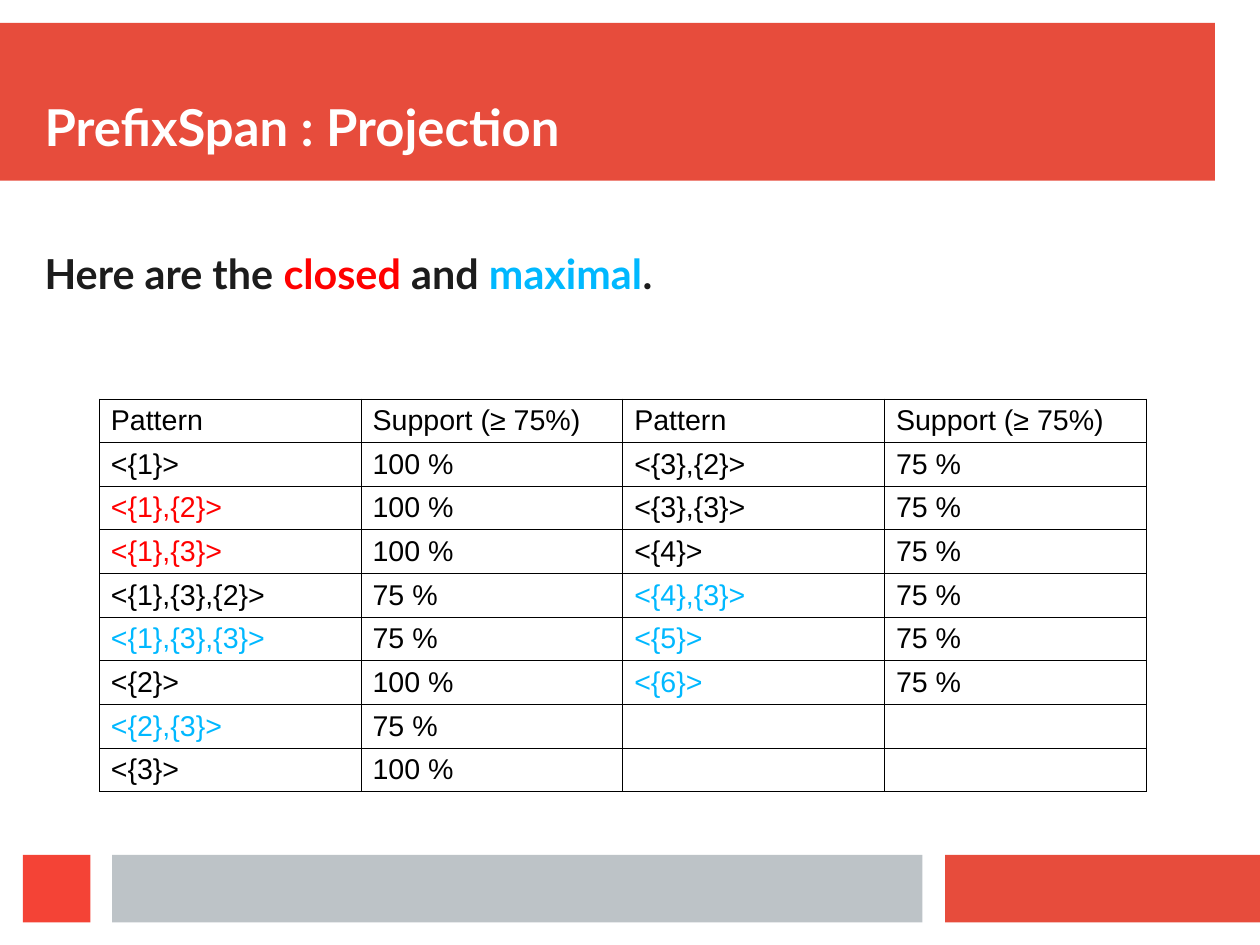
from dataclasses import dataclass

from lxml.etree import SubElement as Sub
from pptx import Presentation
from pptx.dml.color import RGBColor as RGB
from pptx.enum.shapes import MSO_SHAPE as Form
from pptx.enum.text import MSO_ANCHOR as Anchor
from pptx.oxml.ns import qn
from pptx.util import Inches, Pt


@dataclass(frozen=True)
class Theme:
    brand: str = "E74C3C"
    accent: str = "F44336"
    gray: str = "BDC3C7"
    white: str = "FFFFFF"
    ink: str = "1C1C1C"
    black: str = "000000"
    closed: str = "FF0000"
    maximal: str = "00B8FF"
    head: str = "Lato"
    body: str = "Arial"
    title: int = 32
    lead: int = 26
    cell: int = 18
    rule: float = 0.57


def write(para, text, font, size, color, bold=False):
    run = para.add_run()
    run.text = text
    run.font.name = font
    run.font.size = Pt(size)
    run.font.bold = bold
    run.font.color.rgb = RGB.from_string(color)


def border(cell, color, width):
    """Draw a thin line on all four sides of a table cell."""
    props = cell._tc.get_or_add_tcPr()
    for side in ("lnL", "lnR", "lnT", "lnB"):
        line = Sub(props, qn(f"a:{side}"), w=str(Pt(width)))
        fill = Sub(line, qn("a:solidFill"))
        Sub(fill, qn("a:srgbClr"), val=color)


class Page:
    def __init__(self, slide, theme):
        self.slide = slide
        self.theme = theme

    def bar(self, box, color):
        shape = self.slide.shapes.add_shape(Form.RECTANGLE, *map(Inches, box))
        shape.shadow.inherit = False
        shape.fill.solid()
        shape.fill.fore_color.rgb = RGB.from_string(color)
        shape.line.fill.background()

    def text(self, box, parts, size, anchor=Anchor.TOP):
        """Place one bold line made of (text, color) parts."""
        frame = self.slide.shapes.add_textbox(*map(Inches, box)).text_frame
        frame.word_wrap = True
        frame.vertical_anchor = anchor
        frame.margin_left = frame.margin_right = 0
        frame.margin_top = frame.margin_bottom = 0
        for text, color in parts:
            write(frame.paragraphs[0], text, font=self.theme.head,
                  size=size, color=color, bold=True)

    def table(self, box, rows, colors):
        """Fill a grid; colors maps a cell text to its own color."""
        theme = self.theme
        frame = self.slide.shapes.add_table(
            len(rows), len(rows[0]), *map(Inches, box))
        grid = frame.table
        grid.first_row = grid.horz_banding = False
        for row, texts in zip(grid.rows, rows):
            for cell, text in zip(row.cells, texts):
                cell.margin_bottom = Inches(0.03)
                border(cell, theme.black, theme.rule)
                cell.fill.background()
                if text:
                    write(cell.text_frame.paragraphs[0], text,
                          font=theme.body, size=theme.cell,
                          color=colors.get(text, theme.black))


LEFT = [("<{1}>", "100 %"), ("<{1},{2}>", "100 %"), ("<{1},{3}>", "100 %"),
        ("<{1},{3},{2}>", "75 %"), ("<{1},{3},{3}>", "75 %"),
        ("<{2}>", "100 %"), ("<{2},{3}>", "75 %"), ("<{3}>", "100 %")]
RIGHT = ["<{3},{2}>", "<{3},{3}>", "<{4}>", "<{4},{3}>", "<{5}>", "<{6}>",
         "", ""]
CLOSED = ["<{1},{2}>", "<{1},{3}>"]
MAXIMAL = ["<{1},{3},{3}>", "<{2},{3}>", "<{4},{3}>", "<{5}>", "<{6}>"]


def main():
    theme = Theme()
    deck = Presentation()
    deck.slide_width, deck.slide_height = Inches(28 / 2.54), Inches(21 / 2.54)
    page = Page(deck.slides.add_slide(deck.slide_layouts[6]), theme)

    page.bar((0, 0.2, 10.63, 1.38), theme.brand)
    for left, width, color in ((8.27, 2.76, theme.brand),
                               (0.98, 7.09, theme.gray),
                               (0.2, 0.59, theme.accent)):
        page.bar((left, 7.48, width, 0.59), color)

    page.text((0.39, 0.39, 10.24, 0.98),
              [("PrefixSpan : Projection", theme.white)],
              theme.title, Anchor.BOTTOM)
    page.text((0.39, 2.17, 10.04, 1.3),
              [("Here are the ", theme.ink), ("closed", theme.closed),
               (" and ", theme.ink), ("maximal", theme.maximal),
               (".", theme.ink)], theme.lead)

    rows = [["Pattern", "Support (≥ 75%)"] * 2]
    for (first, share), second in zip(LEFT, RIGHT):
        rows.append([first, share, second, "75 %" if second else ""])
    colors = dict.fromkeys(CLOSED, theme.closed)
    colors |= dict.fromkeys(MAXIMAL, theme.maximal)
    page.table((0.87, 3.49, 9.16, 3.44), rows, colors)

    deck.save("out.pptx")


if __name__ == "__main__":
    main()
